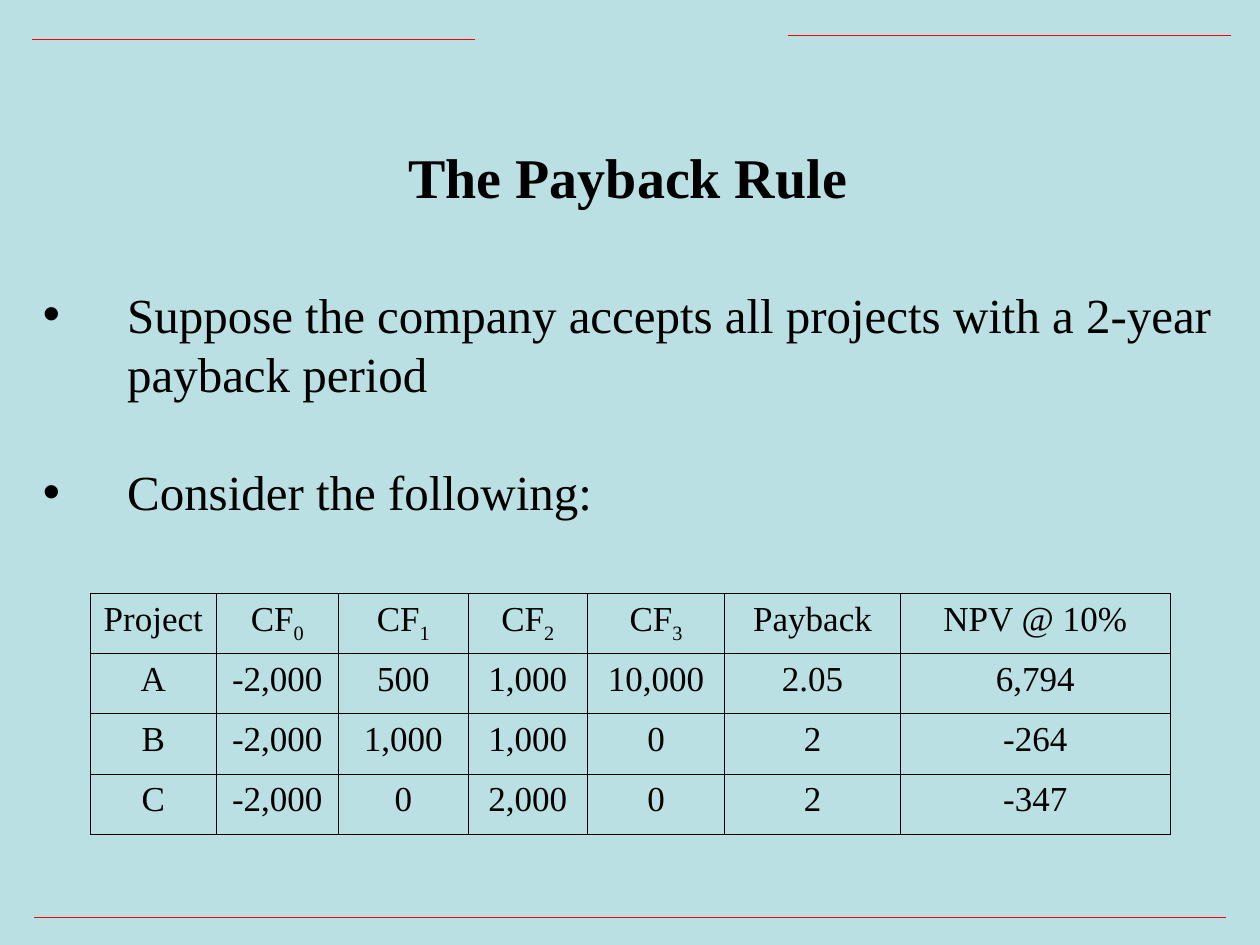
from lxml.etree import SubElement
from pptx import Presentation
from pptx.dml.color import RGBColor
from pptx.enum.shapes import MSO_CONNECTOR
from pptx.enum.text import MSO_ANCHOR, MSO_AUTO_SIZE, PP_ALIGN
from pptx.oxml.ns import qn
from pptx.util import Cm, Pt

TITLE = "The Payback Rule"
POINTS = [
    "Suppose the company accepts all projects with a 2-year payback period",
    "Consider the following:",
]
HEAD = [("Project", ""), ("CF", "0"), ("CF", "1"), ("CF", "2"), ("CF", "3"),
        ("Payback", ""), ("NPV @ 10%", "")]
ROWS = [
    ["A", "-2,000", "500", "1,000", "10,000", "2.05", "6,794"],
    ["B", "-2,000", "1,000", "1,000", "0", "2", "-264"],
    ["C", "-2,000", "0", "2,000", "0", "2", "-347"],
]
WIDTHS = [2.54, 2.46, 2.62, 2.4, 2.77, 3.54, 5.44]
HIGH = 1.21
RULES = [(0.69, 24.71, 18.49), (0.64, 9.58, 0.79), (15.88, 24.82, 0.71)]
FONT = "Times New Roman"
INK, RED, BACK = "000000", "FF0000", "BBE0E3"


def color(code):
    return RGBColor.from_string(code)


def write(para, text, size, bold=False, sub=False):
    run = para.add_run()
    run.text = text
    font = run.font
    font.name, font.size, font.bold = FONT, Pt(size), bold
    font.color.rgb = color(INK)
    if sub:
        font._element.set("baseline", "-25000")


def place(shape, left, top, width, height):
    shape.left, shape.top = Cm(left), Cm(top)
    shape.width, shape.height = Cm(width), Cm(height)
    frame = shape.text_frame
    frame.word_wrap = True
    frame.auto_size = MSO_AUTO_SIZE.NONE
    frame.vertical_anchor = MSO_ANCHOR.TOP
    return frame


def bullet(para):
    props = para._p.get_or_add_pPr()
    props.set("marL", str(Cm(1.7)))
    props.set("indent", str(-Cm(1.7)))
    tint = SubElement(props, qn("a:buClr"))
    SubElement(tint, qn("a:srgbClr"), val=INK)
    SubElement(props, qn("a:buFont"), typeface="Arial")
    SubElement(props, qn("a:buChar"), char="•")


def border(cell):
    props = cell._tc.get_or_add_tcPr()
    for spot, side in enumerate(["lnL", "lnR", "lnT", "lnB"]):
        line = props.makeelement(qn("a:" + side), {"w": str(Pt(0.45))})
        fill = SubElement(line, qn("a:solidFill"))
        SubElement(fill, qn("a:srgbClr"), val=INK)
        props.insert(spot, line)


def rule(slide, left, right, y):
    line = slide.shapes.add_connector(
        MSO_CONNECTOR.STRAIGHT, Cm(left), Cm(y), Cm(right), Cm(y))
    line.line.color.rgb = color(RED)
    line.line.width = Pt(0.75)
    SubElement(line._element.spPr, qn("a:effectLst"))


def grid(slide):
    rows = [HEAD] + [[(text, "") for text in row] for row in ROWS]
    shape = slide.shapes.add_table(
        len(rows), len(WIDTHS), Cm(1.82), Cm(11.97),
        Cm(sum(WIDTHS)), Cm(HIGH * len(rows)))
    table = shape.table
    table.first_row = table.horz_banding = False
    for col, width in zip(table.columns, WIDTHS):
        col.width = Cm(width)
    for r, row in enumerate(rows):
        table.rows[r].height = Cm(HIGH)
        for c, (text, sub) in enumerate(row):
            cell = table.cell(r, c)
            cell.fill.background()
            cell.vertical_anchor = MSO_ANCHOR.TOP
            border(cell)
            para = cell.text_frame.paragraphs[0]
            para.alignment = PP_ALIGN.CENTER
            write(para, text, 20)
            if sub:
                write(para, sub, 20, sub=True)


def main():
    deck = Presentation()
    deck.slide_width, deck.slide_height = Cm(25.4), Cm(19.05)
    slide = deck.slides.add_slide(deck.slide_layouts[1])
    fill = slide.background.fill
    fill.solid()
    fill.fore_color.rgb = color(BACK)

    title = place(slide.shapes.title, 0.71, 2.74, 23.9, 1.63).paragraphs[0]
    title.alignment = PP_ALIGN.CENTER
    write(title, TITLE, 32, bold=True)

    body = place(slide.placeholders[1], 0.61, 5.61, 24.26, 5)
    for i, text in enumerate(POINTS):
        para = body.add_paragraph() if i else body.paragraphs[0]
        bullet(para)
        para.alignment = PP_ALIGN.LEFT
        para.space_before = Pt(34 if i else 0)
        write(para, text, 28)

    for ends in RULES:
        rule(slide, *ends)
    grid(slide)
    deck.save("out.pptx")


if __name__ == "__main__":
    main()
